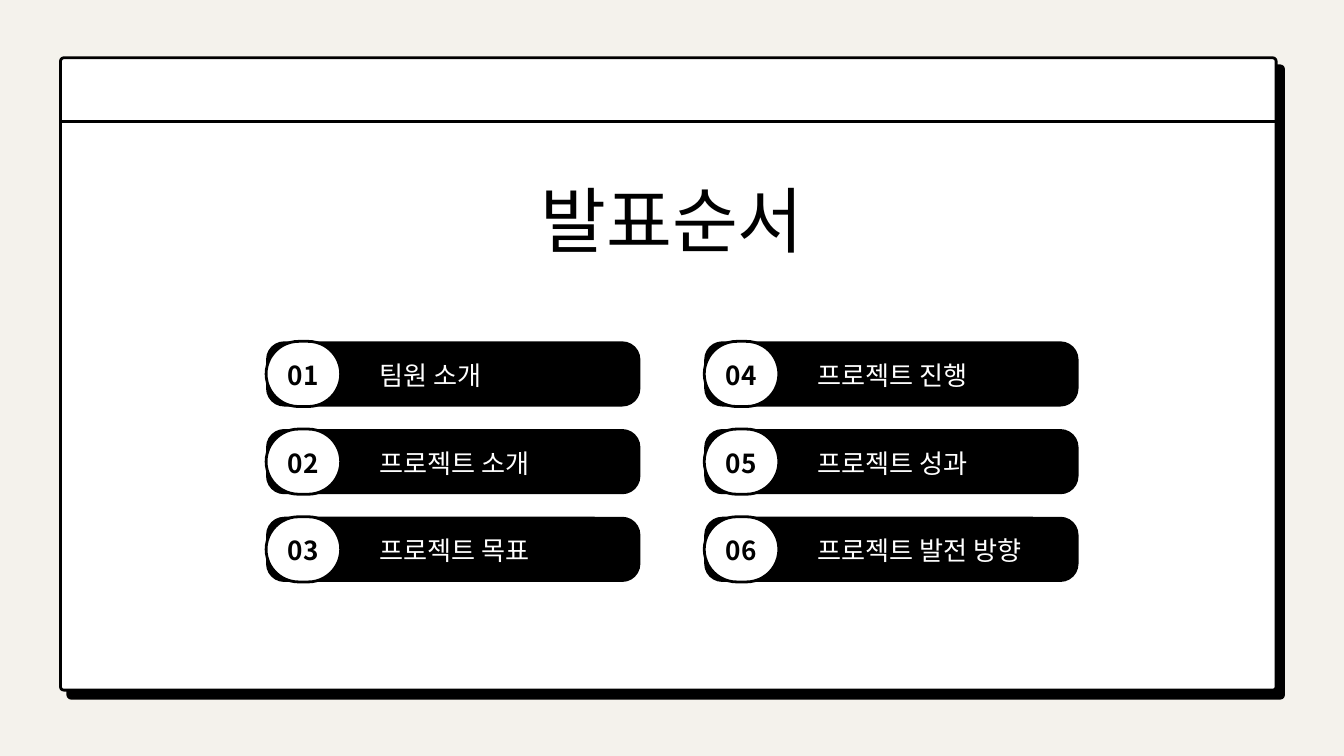
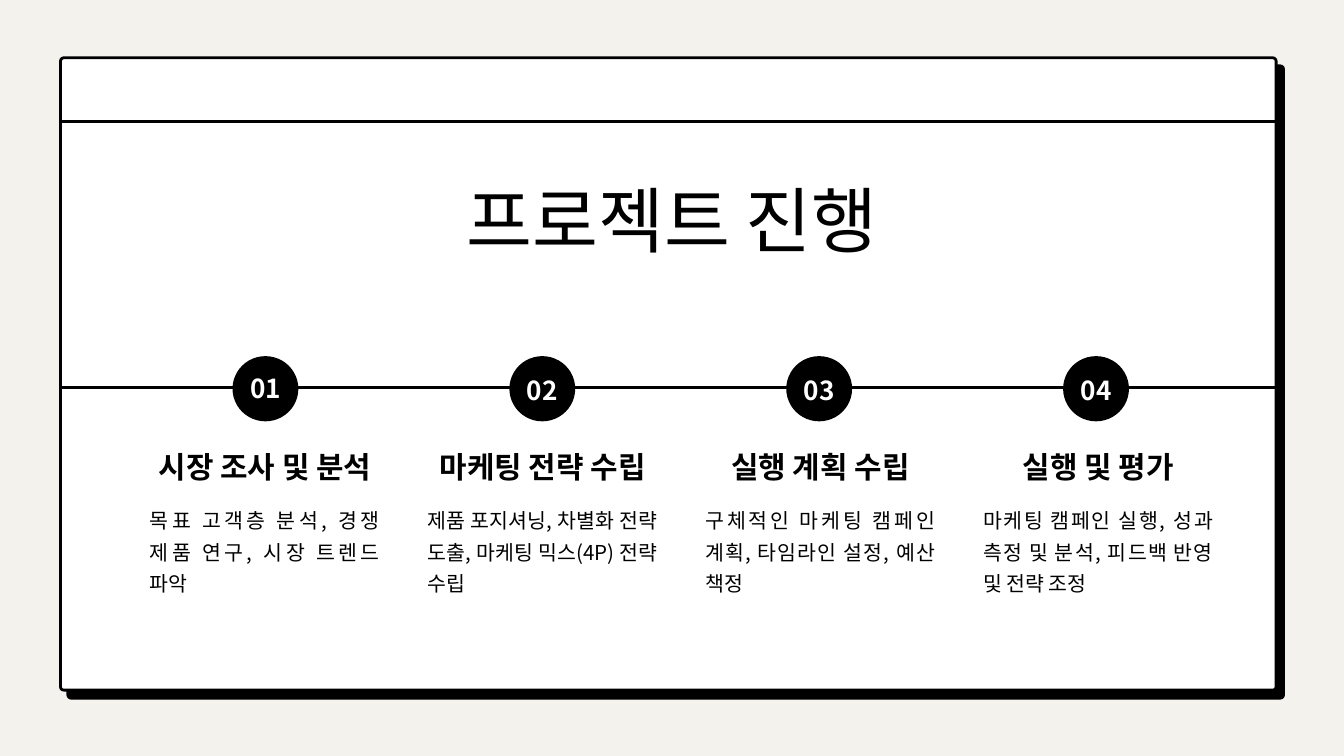
from dataclasses import dataclass

import pptx
import pptx.dml.color
import pptx.enum.shapes
import pptx.enum.text
import pptx.oxml
import pptx.oxml.ns
import pptx.presentation
import pptx.shapes.autoshape
import pptx.slide
import pptx.util
from pptx.util import Inches

Color = pptx.dml.color.RGBColor
Align = pptx.enum.text.PP_ALIGN
Preset = pptx.enum.shapes.MSO_SHAPE

# Shared look
FONT = "Noto Sans CJK KR"
BLACK = Color(0x00, 0x00, 0x00)
WHITE = Color(0xFF, 0xFF, 0xFF)
CREAM = Color(0xF4, 0xF2, 0xEC)
OUTLINE = pptx.util.Pt(3)
TITLE_ONLY_LAYOUT = 5


@dataclass(frozen=True)
class Box:
    left: float
    top: float
    width: float
    height: float

    def lengths(self) -> tuple:
        return tuple(Inches(n) for n in (self.left, self.top, self.width, self.height))


@dataclass(frozen=True)
class AgendaItem:
    number: str
    label: str
    column: int
    row: int


@dataclass(frozen=True)
class Stage:
    number: str
    heading: str
    detail: str
    number_top: float


WINDOW = Box(0.9, 0.86, 18.09, 9.41)
WINDOW_SHADOW = Box(1.01, 0.98, 18.09, 9.41)
TITLE = Box(6.09, 2.41, 7.82, 1.44)

AGENDA_TITLE = "발표순서"
AGENDA_LABELS = [
    "팀원 소개", "프로젝트 소개", "프로젝트 목표",
    "프로젝트 진행", "프로젝트 성과", "프로젝트 발전 방향",
]
AGENDA_ROWS = 3
AGENDA = [
    AgendaItem(f"{index + 1:02d}", label, *divmod(index, AGENDA_ROWS))
    for index, label in enumerate(AGENDA_LABELS)
]

PROGRESS_TITLE = "프로젝트 진행"
STAGES = [
    Stage("01", "시장 조사 및 분석", "목표 고객층 분석, 경쟁 제품 연구, 시장 트렌드 파악", 5.42),
    Stage("02", "마케팅 전략 수립", "제품 포지셔닝, 차별화 전략 도출, 마케팅 믹스(4P) 전략 수립", 5.45),
    Stage("03", "실행 계획 수립", "구체적인 마케팅 캠페인 계획, 타임라인 설정, 예산 책정", 5.45),
    Stage("04", "실행 및 평가", "마케팅 캠페인 실행, 성과 측정 및 분석, 피드백 반영 및 전략 조정", 5.44),
]


def write_text(
    shape: pptx.shapes.autoshape.Shape,
    text: str,
    *,
    size: float,
    spacing: float,
    color: Color = BLACK,
    bold: bool = False,
    align: Align = Align.LEFT,
) -> None:
    frame = shape.text_frame
    frame.word_wrap = True
    frame.auto_size = pptx.enum.text.MSO_AUTO_SIZE.SHAPE_TO_FIT_TEXT
    frame.vertical_anchor = pptx.enum.text.MSO_ANCHOR.TOP
    frame.margin_left = frame.margin_top = frame.margin_right = frame.margin_bottom = 0
    paragraph = frame.paragraphs[0]
    paragraph.alignment = align
    paragraph.line_spacing = pptx.util.Pt(spacing)
    run = paragraph.add_run()
    run.text = text
    run.font.size = pptx.util.Pt(size)
    run.font.bold = bold
    run.font.color.rgb = color
    run.font.name = FONT
    # Korean letters take the East Asian typeface
    east_asian = pptx.oxml.parse_xml(
        f'<a:ea {pptx.oxml.ns.nsdecls("a")} typeface="{FONT}"/>'
    )
    run.font._element.find(pptx.oxml.ns.qn("a:latin")).addnext(east_asian)


def add_text(slide: pptx.slide.Slide, box: Box, text: str, **text_format) -> None:
    write_text(slide.shapes.add_textbox(*box.lengths()), text, **text_format)


def add_number(slide: pptx.slide.Slide, left: float, top: float, number: str, color: Color) -> None:
    add_text(slide, Box(left, top, 0.58, 0.58), number, size=28, spacing=42.8,
             color=color, bold=True, align=Align.CENTER)


def add_panel(
    slide: pptx.slide.Slide,
    box: Box,
    fill: Color,
    *,
    preset: Preset = Preset.ROUNDED_RECTANGLE,
    radius: float = 0,
    outlined: bool = False,
) -> None:
    shape = slide.shapes.add_shape(preset, *box.lengths())
    shape.shadow.inherit = False
    shape.fill.solid()
    shape.fill.fore_color.rgb = fill
    if preset == Preset.ROUNDED_RECTANGLE:
        shape.adjustments[0] = radius / min(box.width, box.height)
    if outlined:
        shape.line.color.rgb = BLACK
        shape.line.width = OUTLINE
    else:
        shape.line.fill.background()


def add_rule(slide: pptx.slide.Slide, top: float) -> None:
    """Draw a horizontal line across the window."""
    connector = slide.shapes.add_connector(
        pptx.enum.shapes.MSO_CONNECTOR.STRAIGHT,
        Inches(WINDOW.left), Inches(top),
        Inches(WINDOW.left + WINDOW.width), Inches(top),
    )
    connector.line.color.rgb = BLACK
    connector.line.width = OUTLINE
    connector._element.spPr.append(
        pptx.oxml.parse_xml(f'<a:effectLst {pptx.oxml.ns.nsdecls("a")}/>')
    )


def add_window_slide(presentation: pptx.presentation.Presentation, title: str) -> pptx.slide.Slide:
    slide = presentation.slides.add_slide(presentation.slide_layouts[TITLE_ONLY_LAYOUT])
    slide.background.fill.solid()
    slide.background.fill.fore_color.rgb = CREAM
    add_panel(slide, WINDOW_SHADOW, BLACK, radius=0.05, outlined=True)
    add_panel(slide, WINDOW, WHITE, radius=0.05, outlined=True)
    add_rule(slide, 1.81)

    # The title stands in front of the window
    shape = slide.shapes.title
    shape.left, shape.top, shape.width, shape.height = TITLE.lengths()
    write_text(shape, title, size=76.7, spacing=107.4, align=Align.CENTER)
    shape.element.getparent().append(shape.element)
    return slide


def add_agenda_item(slide: pptx.slide.Slide, item: AgendaItem) -> None:
    left = 3.96 + item.column * 6.52
    top = 5.08 + item.row * 1.305
    add_panel(slide, Box(left, top, 5.57, 0.97), BLACK, radius=0.27)
    add_panel(slide, Box(left, top, 1.11, 0.97), WHITE, radius=0.485, outlined=True)
    add_text(slide, Box(left + 1.69, top + 0.14, 3.83, 0.58), item.label,
             size=28, spacing=42.8, color=WHITE)
    add_number(slide, left + 0.26, top + 0.14, item.number, BLACK)


def add_stage(slide: pptx.slide.Slide, stage: Stage, column: int) -> None:
    circle_left = 3.46 + column * 4.12
    text_left = 2.23 + column * 4.133
    add_panel(slide, Box(circle_left, 5.3, 0.98, 0.97), BLACK, preset=Preset.OVAL)
    add_number(slide, circle_left + 0.2, stage.number_top, stage.number, WHITE)
    add_text(slide, Box(text_left, 6.53, 3.43, 0.65), stage.heading,
             size=32, spacing=49, bold=True, align=Align.CENTER)
    add_text(slide, Box(text_left, 7.46, 3.42, 1.37), stage.detail,
             size=22, spacing=33.7, align=Align.JUSTIFY)


def main() -> None:
    presentation = pptx.Presentation()
    presentation.slide_width = Inches(20)
    presentation.slide_height = Inches(11.25)

    # Agenda
    agenda_slide = add_window_slide(presentation, AGENDA_TITLE)
    for item in AGENDA:
        add_agenda_item(agenda_slide, item)

    # Project timeline
    progress_slide = add_window_slide(presentation, PROGRESS_TITLE)
    add_rule(progress_slide, 5.77)
    for column, stage in enumerate(STAGES):
        add_stage(progress_slide, stage, column)

    presentation.save("out.pptx")


if __name__ == "__main__":
    main()
